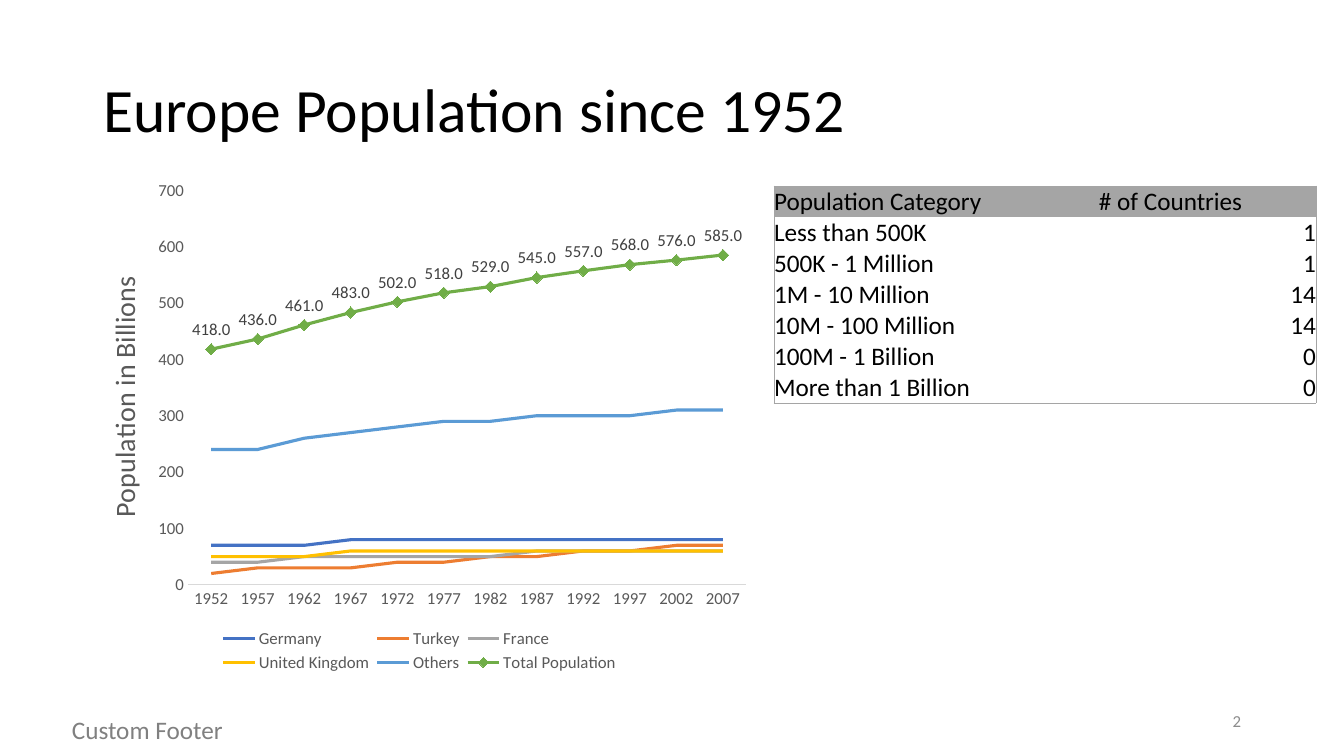
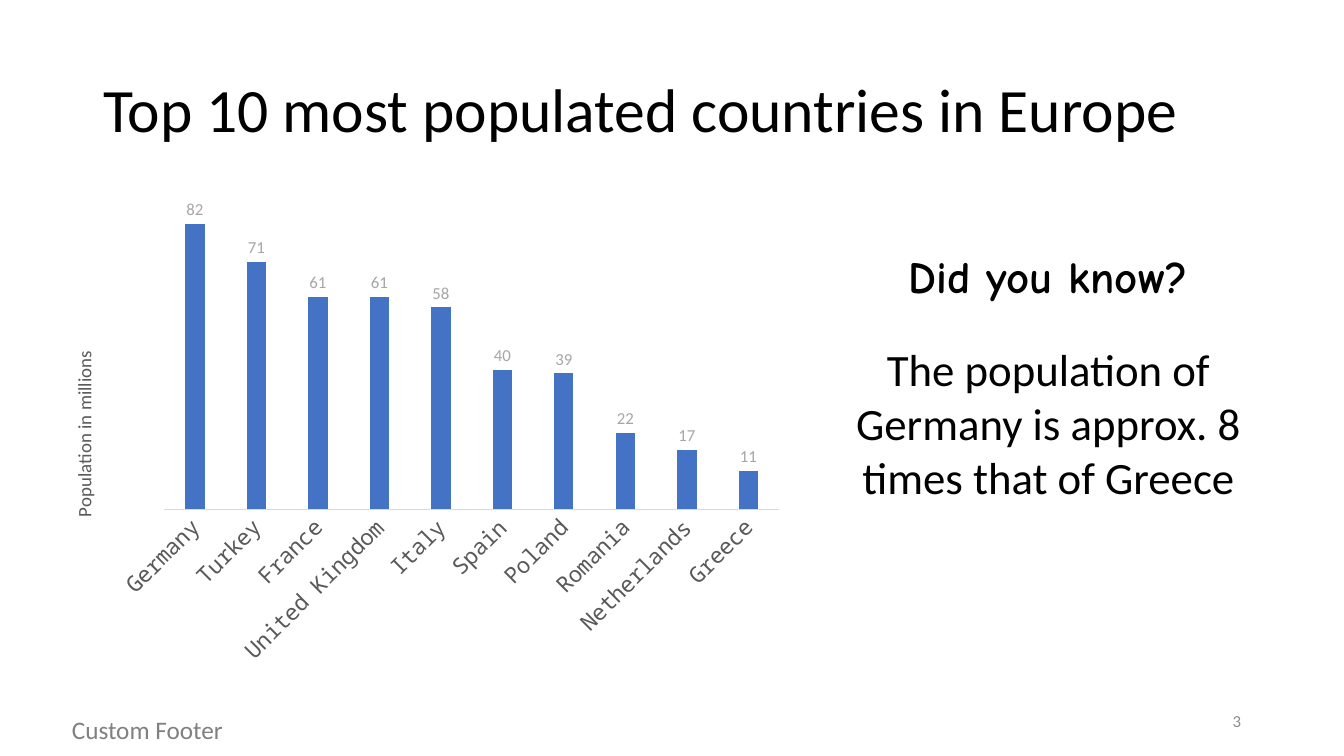
from lxml.etree import SubElement
from pptx import Presentation
from pptx.chart.data import CategoryChartData
from pptx.dml.color import RGBColor
from pptx.enum.chart import (XL_CHART_TYPE, XL_LABEL_POSITION, XL_LEGEND_POSITION,
                             XL_MARKER_STYLE, XL_TICK_LABEL_POSITION, XL_TICK_MARK)
from pptx.enum.text import MSO_ANCHOR, PP_ALIGN
from pptx.oxml.ns import qn
from pptx.oxml.xmlchemy import OxmlElement
from pptx.util import Pt

WIDTH, HEIGHT = 1344, 756
SCALE = 12192000 / WIDTH
BODY, HAND, MONO = "Calibri", "Comic Neue", "Noto Sans Mono"
NO_GRID_STYLE = "{2D5ABB26-0587-4C30-8999-92F81FD0307C}"
COLORS = {
    "black": "000000", "footer": "808080", "number": "8C8C8C", "axis": "595959",
    "axis_line": "D9D9D9", "table": "A5A5A5", "label": "404040", "pale_label": "A6A6A6",
    "blue": "4472C4", "orange": "ED7D31", "gray": "A5A5A5", "gold": "FFC000",
    "sky": "5B9BD5", "green": "70AD47",
}

YEARS = [str(year) for year in range(1952, 2008, 5)]
POPULATION = [
    ("Germany", "blue", [70, 70, 70, 80, 80, 80, 80, 80, 80, 80, 80, 80]),
    ("Turkey", "orange", [20, 30, 30, 30, 40, 40, 50, 50, 60, 60, 70, 70]),
    ("France", "gray", [40, 40, 50, 50, 50, 50, 50, 60, 60, 60, 60, 60]),
    ("United Kingdom", "gold", [50, 50, 50, 60, 60, 60, 60, 60, 60, 60, 60, 60]),
    ("Others", "sky", [240, 240, 260, 270, 280, 290, 290, 300, 300, 300, 310, 310]),
    ("Total Population", "green",
     [418, 436, 461, 483, 502, 518, 529, 545, 557, 568, 576, 585]),
]
TOP_TEN = {"Germany": 82, "Turkey": 71, "France": 61, "United Kingdom": 61, "Italy": 58,
           "Spain": 40, "Poland": 39, "Romania": 22, "Netherlands": 17, "Greece": 11}
CATEGORIES = [
    ("Population Category", "# of Countries"),
    ("Less than 500K", "1"),
    ("500K - 1 Million", "1"),
    ("1M - 10 Million", "14"),
    ("10M - 100 Million", "14"),
    ("100M - 1 Billion", "0"),
    ("More than 1 Billion", "0"),
]


def px(n):
    """Turn pixels into EMU."""
    return round(n * SCALE)


def box(*lengths):
    """Turn left, top, width and height into EMU."""
    return [px(n) for n in lengths]


def rgb(name):
    """Look up a named colour."""
    return RGBColor.from_string(COLORS[name])


def style_font(font, size, color, name=BODY, bold=False):
    """Set the look of a font."""
    font.size, font.name, font.bold = Pt(size), name, bold
    font.color.rgb = rgb(color)


def add_run(p, text, size, color="black", name=BODY, bold=False):
    """Append a styled run to a paragraph."""
    r = p.add_run()
    r.text = text
    style_font(r.font, size, color, name, bold)


def add_text(s, at, text, size, color="black", name=BODY, bold=False,
             align=PP_ALIGN.LEFT, wrap=True):
    """Add a text box with one run."""
    tf = s.shapes.add_textbox(*box(*at)).text_frame
    tf.word_wrap = wrap
    p = tf.paragraphs[0]
    p.alignment = align
    add_run(p, text, size, color, name, bold)
    return tf


def add_slide(prs, title, number):
    """Add a slide with its title, footer and number."""
    s = prs.slides.add_slide(prs.slide_layouts[5])
    sp = s.shapes.title
    sp.left, sp.top, sp.width, sp.height = box(93, 40, 1159, 146)
    tf = sp.text_frame
    tf.word_wrap, tf.vertical_anchor = True, MSO_ANCHOR.MIDDLE
    p = tf.paragraphs[0]
    p.alignment, p.line_spacing = PP_ALIGN.LEFT, 0.9
    add_run(p, title, 44)
    add_text(s, (62, 709, 302, 40), "Custom Footer", 18, "footer")
    tf = add_text(s, (949, 701, 302, 40), str(number), 12, "number", align=PP_ALIGN.RIGHT)
    tf.vertical_anchor = MSO_ANCHOR.MIDDLE
    return s


def set_layout(element, index, inner=False, **places):
    """Place a chart part by fractions of the chart area."""
    for old in element.findall(qn("c:layout")):
        element.remove(old)
    layout = OxmlElement("c:layout")
    element.insert(index, layout)
    manual = SubElement(layout, qn("c:manualLayout"))
    settings = {"layoutTarget": "inner"} if inner else {}
    settings.update(xMode="edge", yMode="edge")
    settings.update(places)
    for tag, value in settings.items():
        SubElement(manual, qn("c:" + tag)).set("val", str(value))


def add_chart(s, kind, at, cats, series, plot_area):
    """Add a chart with the shared axis style."""
    data = CategoryChartData()
    data.categories = cats
    for name, values in series:
        data.add_series(name, values)
    chart = s.shapes.add_chart(kind, *box(*at), data).chart
    style_font(chart.font, 10, "black")
    chart.has_title = chart.has_legend = False
    chart.plots[0].vary_by_categories = False
    for axis in (chart.category_axis, chart.value_axis):
        axis.major_tick_mark = axis.minor_tick_mark = XL_TICK_MARK.NONE
        axis.has_major_gridlines = False
        style_font(axis.tick_labels.font, 12, "axis")
    line = chart.category_axis.format.line
    line.color.rgb, line.width = rgb("axis_line"), Pt(0.75)
    chart.value_axis.format.line.fill.background()
    x, y, w, h = plot_area
    set_layout(chart.plots[0]._element.getparent(), 0, True, x=x, y=y, w=w, h=h)
    return chart


def add_axis_title(axis, text, size, x, y):
    """Add an upright title to the value axis."""
    title = axis.axis_title
    tf = title.text_frame
    add_run(tf.paragraphs[0], text, size, "axis")
    tf._txBody.bodyPr.set("rot", "-5400000")
    tf._txBody.bodyPr.set("vert", "horz")
    set_layout(title._element, 1, x=x, y=y)


def add_labels(series, fmt, position, color):
    """Show the values of a series."""
    labels = series.data_labels
    labels.show_value = True
    labels.number_format, labels.number_format_is_linked = fmt, False
    labels.position = position
    style_font(labels.font, 12, color)


def add_population_chart(s):
    """Add the line chart of population by year."""
    series = [(name, values) for name, _, values in POPULATION]
    chart = add_chart(s, XL_CHART_TYPE.LINE_MARKERS, (79, 170, 681, 506), YEARS, series,
                      (0.16, 0.04, 0.82, 0.78))
    axis = chart.value_axis
    axis.minimum_scale, axis.maximum_scale, axis.major_unit = 0, 700, 100
    add_axis_title(axis, "Population in Billions", 20, 0.03, 0.2)
    for line, (_, color, _) in zip(chart.plots[0].series, POPULATION):
        line.smooth = False
        line.format.line.color.rgb, line.format.line.width = rgb(color), Pt(2.25)
        line.marker.style = XL_MARKER_STYLE.NONE
    marker = line.marker
    marker.style, marker.size = XL_MARKER_STYLE.DIAMOND, 8
    marker.format.fill.solid()
    marker.format.fill.fore_color.rgb = marker.format.line.color.rgb = rgb(color)
    add_labels(line, "#,##0.0", XL_LABEL_POSITION.ABOVE, "label")
    chart.has_legend = True
    legend = chart.legend
    legend.position, legend.include_in_layout = XL_LEGEND_POSITION.BOTTOM, False
    style_font(legend.font, 12, "axis")
    set_layout(legend._element, 1, x=0.2, y=0.9, w=0.6, h=0.1)


def add_country_chart(s):
    """Add the column chart of the ten largest countries."""
    chart = add_chart(s, XL_CHART_TYPE.COLUMN_CLUSTERED, (53, 186, 741, 490), list(TOP_TEN),
                      [("Series 1", list(TOP_TEN.values()))], (0.15, 0.02, 0.83, 0.64))
    plot = chart.plots[0]
    plot.gap_width, plot.overlap = 219, -27
    bars = plot.series[0]
    bars.format.fill.solid()
    bars.format.fill.fore_color.rgb = rgb("blue")
    add_labels(bars, "0", XL_LABEL_POSITION.OUTSIDE_END, "pale_label")
    axis = chart.value_axis
    axis.minimum_scale, axis.maximum_scale = 0, 90
    axis.tick_label_position = XL_TICK_LABEL_POSITION.NONE
    add_axis_title(axis, "Population in millions", 13.5, 0.02, 0.33)
    style_font(chart.category_axis.tick_labels.font, 16, "axis", MONO)
    chart.category_axis._element.txPr.bodyPr.set("rot", "-2700000")


def add_borders(cell, sides):
    """Draw thin lines on the given sides of a cell."""
    tcPr = cell._tc.get_or_add_tcPr()
    for side in sides:
        ln = SubElement(tcPr, qn("a:ln" + side), w=str(Pt(0.5)))
        fill = SubElement(ln, qn("a:solidFill"))
        SubElement(fill, qn("a:srgbClr"), val=COLORS["table"])


def add_table(s, left, top, widths, row_height, rows):
    """Add a framed table with a filled header row."""
    frame = s.shapes.add_table(len(rows), len(widths),
                               *box(left, top, sum(widths), row_height * len(rows)))
    table = frame.table
    table.first_row = table.horz_banding = False
    table._tbl.tblPr.find(qn("a:tableStyleId")).text = NO_GRID_STYLE
    for column, width in zip(table.columns, widths):
        column.width = px(width)
    for i, row in enumerate(rows):
        table.rows[i].height = px(row_height)
        for j, text in enumerate(row):
            cell = table.cell(i, j)
            edges = {"L": j == 0, "R": j == len(row) - 1, "T": i == 0, "B": i == len(rows) - 1}
            add_borders(cell, [side for side, drawn in edges.items() if drawn])
            cell.margin_left = cell.margin_right = cell.margin_top = cell.margin_bottom = 0
            cell.vertical_anchor = MSO_ANCHOR.BOTTOM
            if i == 0:
                cell.fill.solid()
                cell.fill.fore_color.rgb = rgb("table")
            else:
                cell.fill.background()
            p = cell.text_frame.paragraphs[0]
            p.alignment = PP_ALIGN.RIGHT if i and j else PP_ALIGN.LEFT
            add_run(p, text, 18)


def main():
    """Build and save the presentation."""
    prs = Presentation()
    prs.slide_width, prs.slide_height = px(WIDTH), px(HEIGHT)

    s = add_slide(prs, "Europe Population since 1952", 2)
    add_population_chart(s)
    add_table(s, 774, 186, (325, 217), 31, CATEGORIES)

    s = add_slide(prs, "Top 10 most populated countries in Europe", 3)
    add_country_chart(s)
    add_text(s, (850, 244, 397, 65), "Did you know?", 32, name=HAND, bold=True,
             align=PP_ALIGN.CENTER, wrap=False)
    add_text(s, (806, 337, 485, 173),
             "The population of Germany is approx. 8 times that of Greece", 32,
             align=PP_ALIGN.CENTER)
    prs.save("out.pptx")


if __name__ == "__main__":
    main()
